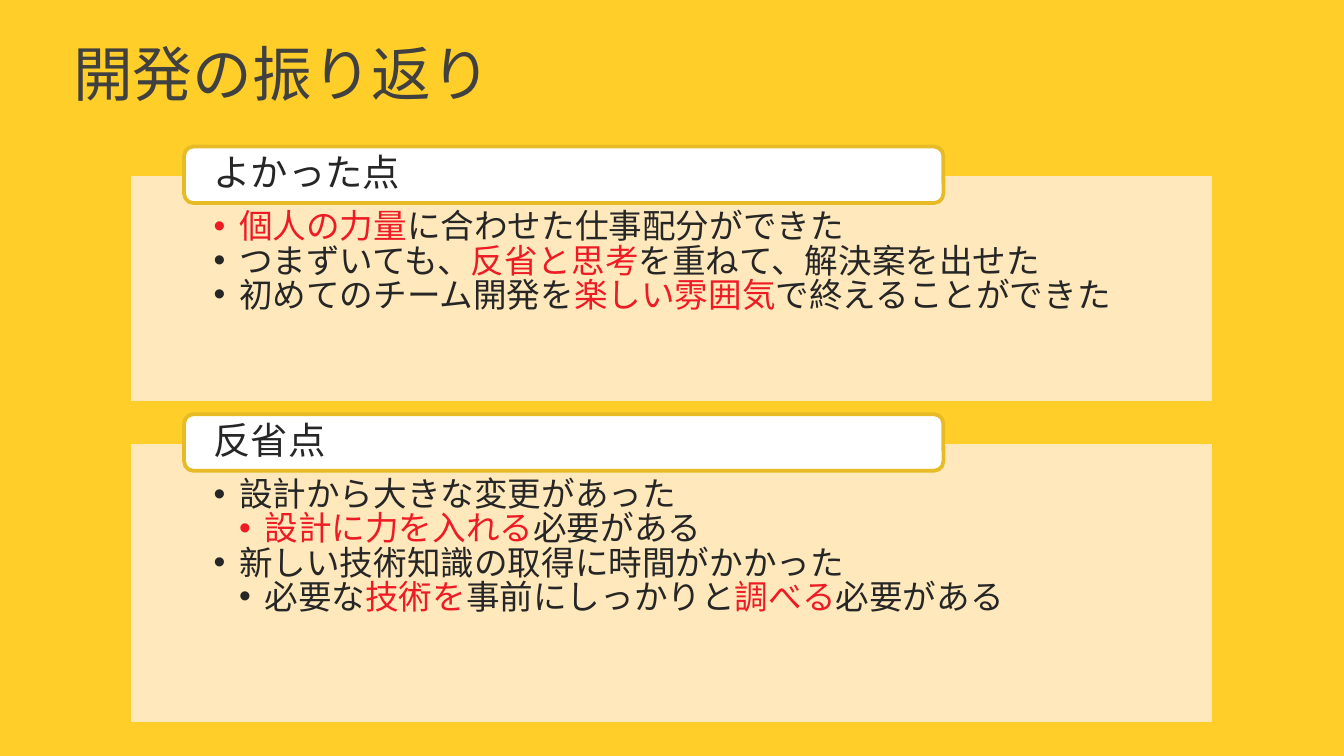
import pptx
import pptx.util
import pptx.dml.color
import pptx.enum.shapes
import pptx.enum.text
import pptx.oxml.ns
from lxml import etree

Cm, Pt = pptx.util.Cm, pptx.util.Pt
Shape = pptx.enum.shapes.MSO_SHAPE
Align = pptx.enum.text.PP_ALIGN
Anchor = pptx.enum.text.MSO_ANCHOR
qn = pptx.oxml.ns.qn

# Content: words between asterisks are highlighted; each point has a level
TITLE = "開発の振り返り"
SECTIONS = [
    {"heading": "よかった点", "top": 3.3, "height": 4.32, "points": [
        (0, "*個人の力量*に合わせた仕事配分ができた"),
        (0, "つまずいても、*反省と思考*を重ねて、解決案を出せた"),
        (0, "初めてのチーム開発を*楽しい雰囲気*で終えることができた"),
    ]},
    {"heading": "反省点", "top": 8.36, "height": 5.33, "points": [
        (0, "設計から大きな変更があった"),
        (1, "*設計に力を入れる*必要がある"),
        (0, "新しい技術知識の取得に時間がかかった"),
        (1, "必要な*技術を*事前にしっかりと*調べる*必要がある"),
    ]},
]

THEME = {
    "font": "Noto Sans CJK JP",
    "background": "FFCE29", "panel": "FFEDCD", "label": "FFFFFF",
    "label_line": "E7BB25", "title": "404040", "text": "262626",
    "highlight": "ED1C24",
    "title_size": 32, "heading_size": 20, "point_size": 18, "line": 2,
}
PANEL = {"left": 2.44, "width": 20.5}
LABEL = {"left": 3.48, "width": 14.35, "height": 1.07, "rise": 0.53}
INDENT = 0.48


def color(name):
    return pptx.dml.color.RGBColor.from_string(THEME[name])


def apply(target, values):
    for name, value in values.items():
        setattr(target, name, value)


def set_frame(frame, anchor, left, top, right, bottom):
    apply(frame, {
        "word_wrap": True, "auto_size": pptx.enum.text.MSO_AUTO_SIZE.NONE,
        "vertical_anchor": anchor,
        "margin_left": Cm(left), "margin_top": Cm(top),
        "margin_right": Cm(right), "margin_bottom": Cm(bottom)})


def add_text(para, text, size, base):
    for index, part in enumerate(text.split("*")):
        if not part:
            continue
        span = para.add_run()
        span.text = part
        apply(span.font, {"name": THEME["font"], "size": Pt(THEME[size])})
        span.font.color.rgb = color("highlight" if index % 2 else base)
        east_asian = etree.SubElement(span.font._element, qn("a:ea"))
        east_asian.set("typeface", THEME["font"])


def add_bullet(para, level):
    properties = para._p.get_or_add_pPr()
    properties.set("marL", str(Cm(INDENT * (level + 1))))
    properties.set("indent", str(-Cm(INDENT)))
    etree.SubElement(properties, qn("a:buFont")).set("typeface", "Arial")
    etree.SubElement(properties, qn("a:buChar")).set("char", "•")


def add_box(page, kind, left, top, width, height, fill, line):
    box = page.shapes.add_shape(kind, Cm(left), Cm(top), Cm(width), Cm(height))
    box.shadow.inherit = False
    box.fill.solid()
    box.fill.fore_color.rgb = color(fill)
    box.line.color.rgb = color(line)
    box.line.width = Pt(THEME["line"])
    return box


def add_section(page, section):
    # Panel with bullet points
    panel = add_box(page, Shape.RECTANGLE, PANEL["left"], section["top"],
                    PANEL["width"], section["height"], "panel", "background")
    tint = panel._element.spPr.find(qn("a:solidFill"))[0]
    etree.SubElement(tint, qn("a:alpha")).set("val", "90000")
    frame = panel.text_frame
    set_frame(frame, Anchor.TOP, 1.6, 0.7, 1.6, 0.36)
    for index, (level, text) in enumerate(section["points"]):
        para = frame.add_paragraph() if index else frame.paragraphs[0]
        add_bullet(para, level)
        apply(para, {"level": level, "alignment": Align.LEFT,
                     "line_spacing": 0.85, "space_after": Pt(0)})
        add_text(para, text, "point_size", "text")

    # Heading label over the panel's top edge
    label = add_box(page, Shape.ROUNDED_RECTANGLE, LABEL["left"],
                    section["top"] - LABEL["rise"], LABEL["width"],
                    LABEL["height"], "label", "label_line")
    set_frame(label.text_frame, Anchor.MIDDLE, 0.5, 0, 0.5, 0)
    para = label.text_frame.paragraphs[0]
    apply(para, {"alignment": Align.LEFT, "line_spacing": 0.9})
    add_text(para, section["heading"], "heading_size", "text")


def main():
    deck = pptx.Presentation()
    apply(deck, {"slide_width": Cm(25.4), "slide_height": Cm(14.29)})
    page = deck.slides.add_slide(deck.slide_layouts[5])
    page.background.fill.solid()
    page.background.fill.fore_color.rgb = color("background")

    for section in SECTIONS:
        add_section(page, section)

    # Title
    title = page.shapes.title
    apply(title, {"left": Cm(0), "top": Cm(0.57),
                  "width": Cm(25.4), "height": Cm(1.8)})
    set_frame(title.text_frame, Anchor.TOP, 1.38, 0.13, 0.25, 0.13)
    para = title.text_frame.paragraphs[0]
    para.alignment = Align.LEFT
    add_text(para, TITLE, "title_size", "title")

    deck.save("out.pptx")


if __name__ == "__main__":
    main()
